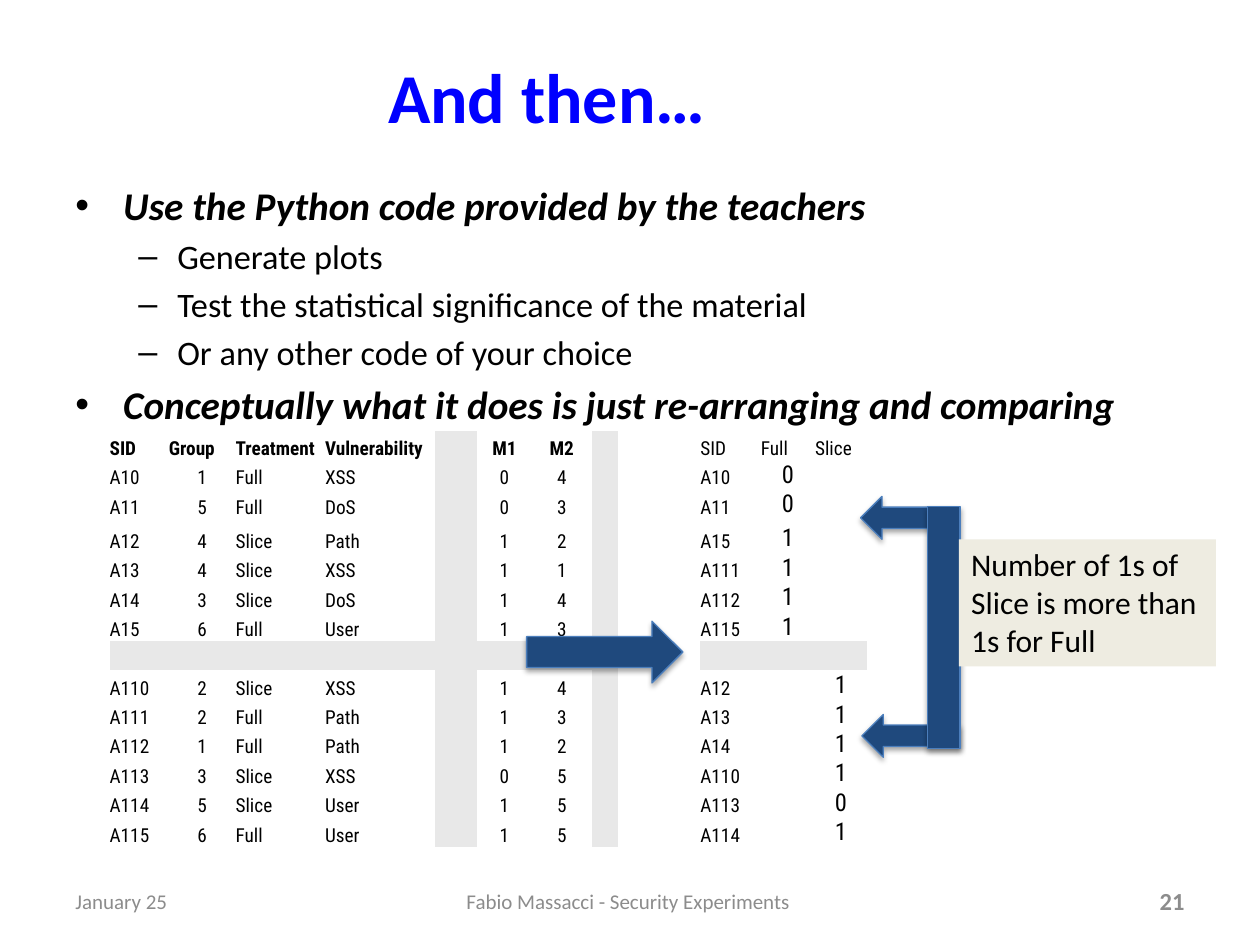
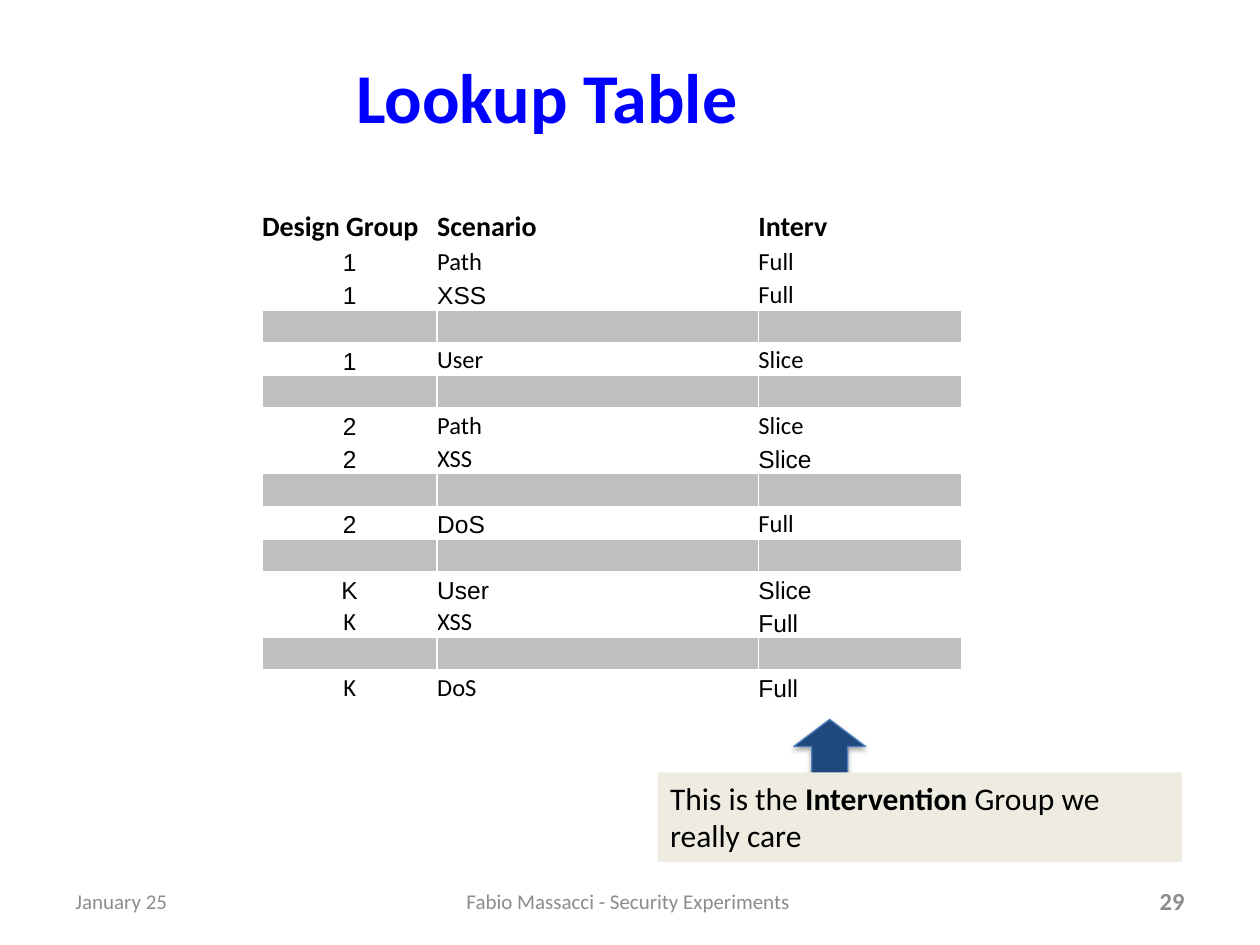
"""Builds two slides on comparing treatments in a security experiment."""
from dataclasses import dataclass
from lxml.etree import SubElement
from pptx import Presentation
from pptx.dml.color import RGBColor
from pptx.enum.shapes import MSO_SHAPE
from pptx.enum.text import MSO_ANCHOR, PP_ALIGN
from pptx.oxml.ns import qn
from pptx.util import Inches, Pt


@dataclass(frozen=True)
class Theme:
    """Colours, fonts and type sizes."""
    blue: str = "0000FF"
    black: str = "000000"
    gray: str = "8C8C8C"
    navy: str = "1F497D"
    edge: str = "4B7EBC"
    sand: str = "EEECE1"
    pale: str = "E8E8E8"
    band: str = "BFBFBF"
    white: str = "FFFFFF"
    main: str = "Calibri"
    plain: str = "Arial"
    thin: str = "Roboto Condensed"
    title: float = 40
    lead: float = 22.4
    sub: float = 19.6
    note: float = 18
    head: float = 16
    cell: float = 14
    small: float = 11
    foot: float = 12
    page: float = 14


T = Theme()
LEFT, MID, RIGHT = PP_ALIGN.LEFT, PP_ALIGN.CENTER, PP_ALIGN.RIGHT
BARE = "{2D5ABB26-0587-4C30-8999-92F81FD0307C}"

DATE = "January 25"
FOOTER = "Fabio Massacci - Security Experiments "

BULLETS = [
    (0, "Use the Python code provided by the teachers"),
    (1, "Generate plots"),
    (1, "Test the statistical significance of the material"),
    (1, "Or any other code of your choice"),
    (0, "Conceptually what it does is just re-arranging and comparing"),
]
LEVELS = [("•", 0.38, 0.38, T.lead), ("–", 0.81, 0.31, T.sub)]

COLS = [0.47, 0.53, 0.71, 0.87, 0.34, 0.43, 0.48, 0.21, 0.65, 0.48, 0.43, 0.41]
HEADS = ("SID Group Treatment Vulnerability M1 M2", "SID Full Slice")
TRIALS = [
    ("A10 1 Full XSS 0 4", "A10 0"),
    ("A11 5 Full DoS 0 3", "A11 0"),
    ("A12 4 Slice Path 1 2", "A15 1"),
    ("A13 4 Slice XSS 1 1", "A111 1"),
    ("A14 3 Slice DoS 1 4", "A112 1"),
    ("A15 6 Full User 1 3", "A115 1"),
    None,
    ("A110 2 Slice XSS 1 4", "A12 1"),
    ("A111 2 Full Path 1 3", "A13 1"),
    ("A112 1 Full Path 1 2", "A14 1"),
    ("A113 3 Slice XSS 0 5", "A110 1"),
    ("A114 5 Slice User 1 5", "A113 0"),
    ("A115 6 Full User 1 5", "A114 1"),
]
SPLIT = TRIALS.index(None)
DATA, GAPS = (0, 1, 2, 3, 5, 6), (4, 7)
GAP, SID, FULL, SLICE = 8, 9, 10, 11

FONTS = {"A": T.plain, "C": T.main}
LOOKUP = [
    ("1 Path Full", "ACC"), ("1 XSS Full", "AAC"), None,
    ("1 User Slice", "ACC"), None,
    ("2 Path Slice", "ACC"), ("2 XSS Slice", "ACA"), None,
    ("2 DoS Full", "AAC"), None,
    ("K User Slice", "AAA"), ("K XSS Full", "CCA"), None,
    ("K DoS Full", "CCA"),
]


def rgb(color):
    """Turns a hex string into a colour."""
    return RGBColor.from_string(color)


def inch(box):
    """Turns a box of inches into lengths."""
    return [Inches(n) for n in box]


def style(run, size, color=T.black, font=T.main, bold=False, slant=False):
    """Sets the look of a run."""
    face = run.font
    face.size, face.name, face.bold, face.italic = Pt(size), font, bold, slant
    face.color.rgb = rgb(color)


def write(para, text, size, align=LEFT, **look):
    """Fills a paragraph and styles its runs."""
    para.text, para.alignment = text, align
    for run in para.runs:
        style(run, size, **look)


def label(slide, box, text, size, align, **look):
    """Adds one line of text, centred in height."""
    frame = slide.shapes.add_textbox(*inch(box)).text_frame
    frame.word_wrap, frame.vertical_anchor = True, MSO_ANCHOR.MIDDLE
    write(frame.paragraphs[0], text, size, align, **look)


def start(deck, title, page):
    """Adds a slide with its title and footers."""
    slide = deck.slides.add_slide(deck.slide_layouts[5])
    head = slide.shapes.title
    head.left, head.top, head.width, head.height = inch((0.5, 0.3, 7.68, 0.91))
    head.text_frame.vertical_anchor = MSO_ANCHOR.MIDDLE
    write(head.text_frame.paragraphs[0], title, T.title, MID, color=T.blue, bold=True)
    label(slide, (0.5, 6.95, 2.33, 0.4), DATE, T.foot, LEFT, color=T.gray)
    label(slide, (3.42, 6.95, 3.17, 0.4), FOOTER, T.foot, MID, color=T.gray)
    label(slide, (7.17, 6.95, 2.33, 0.4), page, T.page, RIGHT, color=T.gray, bold=True)
    return slide


def outline(slide):
    """Adds the bullet list."""
    frame = slide.shapes.add_textbox(*inch((0.5, 1.39, 9, 1.94))).text_frame
    frame.word_wrap = True
    for i, (level, text) in enumerate(BULLETS):
        mark, left, hang, size = LEVELS[level]
        para = frame.add_paragraph() if i else frame.paragraphs[0]
        write(para, text, size, bold=not level, slant=not level)
        para.level, para.space_before = level, Pt(size * 0.2)
        props = para._p.get_or_add_pPr()
        props.set("marL", str(Inches(left)))
        props.set("indent", str(-Inches(hang)))
        SubElement(props, qn("a:buFont"), typeface=T.plain)
        SubElement(props, qn("a:buChar"), char=mark)


def grid(slide, spot, cols, rows, border=None):
    """Adds a bare table with no cell margins."""
    box = inch((*spot, sum(cols), sum(rows)))
    table = slide.shapes.add_table(len(rows), len(cols), *box).table
    table.first_row = table.horz_banding = False
    table._tbl.tblPr[0].text = BARE
    for col, width in zip(table.columns, cols):
        col.width = Inches(width)
    for row, height in zip(table.rows, rows):
        row.height = Inches(height)
    for cell in table.iter_cells():
        cell.margin_left = cell.margin_right = 0
        cell.margin_top = cell.margin_bottom = 0
        cell.vertical_anchor = MSO_ANCHOR.BOTTOM
        if border:
            for side in "LRTB":
                line = SubElement(cell._tc.tcPr, qn("a:ln" + side), w=str(Pt(1)))
                fill = SubElement(line, qn("a:solidFill"))
                SubElement(fill, qn("a:srgbClr"), val=border)
        cell.fill.background()
        para = cell.text_frame.paragraphs[0]._p
        SubElement(para, qn("a:endParaRPr"), sz=str(T.small * 100))
    return table


def put(table, row, col, text, size, align=LEFT, **look):
    """Writes one table cell."""
    write(table.cell(row, col).text_frame.paragraphs[0], text, size, align, **look)


def shade(cell, color):
    """Fills a table cell."""
    cell.fill.solid()
    cell.fill.fore_color.rgb = rgb(color)


def block(shapes, kind, box):
    """Adds a navy shape with a soft shadow."""
    shape = shapes.add_shape(kind, *inch(box))
    shape.fill.solid()
    shape.fill.fore_color.rgb = rgb(T.navy)
    shape.line.color.rgb = rgb(T.edge)
    shape.line.width = Pt(0.75)
    shape.shadow.inherit = False
    effect = shape._element.spPr.find(qn("a:effectLst"))
    cast = SubElement(effect, qn("a:outerShdw"), blurRad=str(Pt(3.1)),
                      dist=str(Pt(1.8)), dir="5400000", rotWithShape="0")
    tint = SubElement(cast, qn("a:srgbClr"), val=T.black)
    SubElement(tint, qn("a:alpha"), val="35000")


def note(slide, box, parts):
    """Adds a sand box of (text, bold) parts."""
    shape = slide.shapes.add_shape(MSO_SHAPE.RECTANGLE, *inch(box))
    shape.shadow.inherit = False
    shape.fill.solid()
    shape.fill.fore_color.rgb = rgb(T.sand)
    shape.line.fill.background()
    frame = shape.text_frame
    frame.word_wrap, frame.vertical_anchor = True, MSO_ANCHOR.TOP
    para = frame.paragraphs[0]
    para.alignment = LEFT
    for text, bold in parts:
        run = para.add_run()
        run.text = text
        style(run, T.note, bold=bold)


def trials(slide):
    """Adds the table of trials and their new order."""
    rows = [0.27 if i == 3 else 0.23 for i in range(len(TRIALS) + 1)]
    table = grid(slide, (0.87, 3.42), COLS, rows)
    for col, text in zip(DATA, HEADS[0].split()):
        put(table, 0, col, text, T.small, MID if col > 4 else LEFT, font=T.thin, bold=True)
    for col, text in enumerate(HEADS[1].split(), SID):
        put(table, 0, col, text, T.small, font=T.thin)
    for i, trial in enumerate(TRIALS, 1):
        if not trial:
            continue
        for col, text in zip(DATA, trial[0].split()):
            put(table, i, col, text, T.small, MID if text.isdigit() else LEFT, font=T.thin)
        name, score = trial[1].split()
        put(table, i, SID, name, T.small, font=T.thin)
        put(table, i, FULL if i <= SPLIT else SLICE, score, T.cell, MID, font=T.thin)
    for i in range(len(rows)):
        for col in range(len(COLS)):
            if col in GAPS or (i == SPLIT + 1 and col != GAP):
                shade(table.cell(i, col), T.pale)


def lookup(slide):
    """Adds the lookup table."""
    rows = [0.3] + [0.26] * len(LOOKUP)
    table = grid(slide, (2.08, 1.64), [1.39, 2.55, 1.61], rows, T.white)
    for col, text in enumerate(("Design Group", "Scenario", "Interv")):
        put(table, 0, col, text, T.head, bold=True)
    for i, entry in enumerate(LOOKUP, 1):
        if not entry:
            for cell in table.rows[i].cells:
                shade(cell, T.band)
            continue
        for col, (text, key) in enumerate(zip(entry[0].split(), entry[1])):
            put(table, i, col, text, T.cell, LEFT if col else MID, font=FONTS[key])


def main():
    """Builds and saves the deck."""
    deck = Presentation()
    deck.slide_width, deck.slide_height = Inches(10), Inches(7.5)

    slide = start(deck, "And then…", "21")
    outline(slide)
    trials(slide)
    block(slide.shapes, MSO_SHAPE.RIGHT_ARROW, (4.18, 4.93, 1.24, 0.49))
    fork = slide.shapes.add_group_shape().shapes
    block(fork, MSO_SHAPE.LEFT_ARROW, (6.83, 3.94, 0.75, 0.34))
    block(fork, MSO_SHAPE.LEFT_ARROW, (6.84, 5.67, 0.78, 0.34))
    block(fork, MSO_SHAPE.RECTANGLE, (7.36, 4.02, 0.26, 1.92))
    note(slide, (7.61, 4.28, 2.04, 1.01),
         [("Number of 1s of Slice is more than 1s for Full", False)])

    slide = start(deck, "Lookup Table", "29")
    lookup(slide)
    block(slide.shapes, MSO_SHAPE.UP_ARROW, (6.3, 5.71, 0.57, 0.43))
    note(slide, (5.22, 6.13, 4.16, 0.71),
         [("This is the ", False), ("Intervention", True), (" Group we really care", False)])
    deck.save("out.pptx")


if __name__ == "__main__":
    main()
